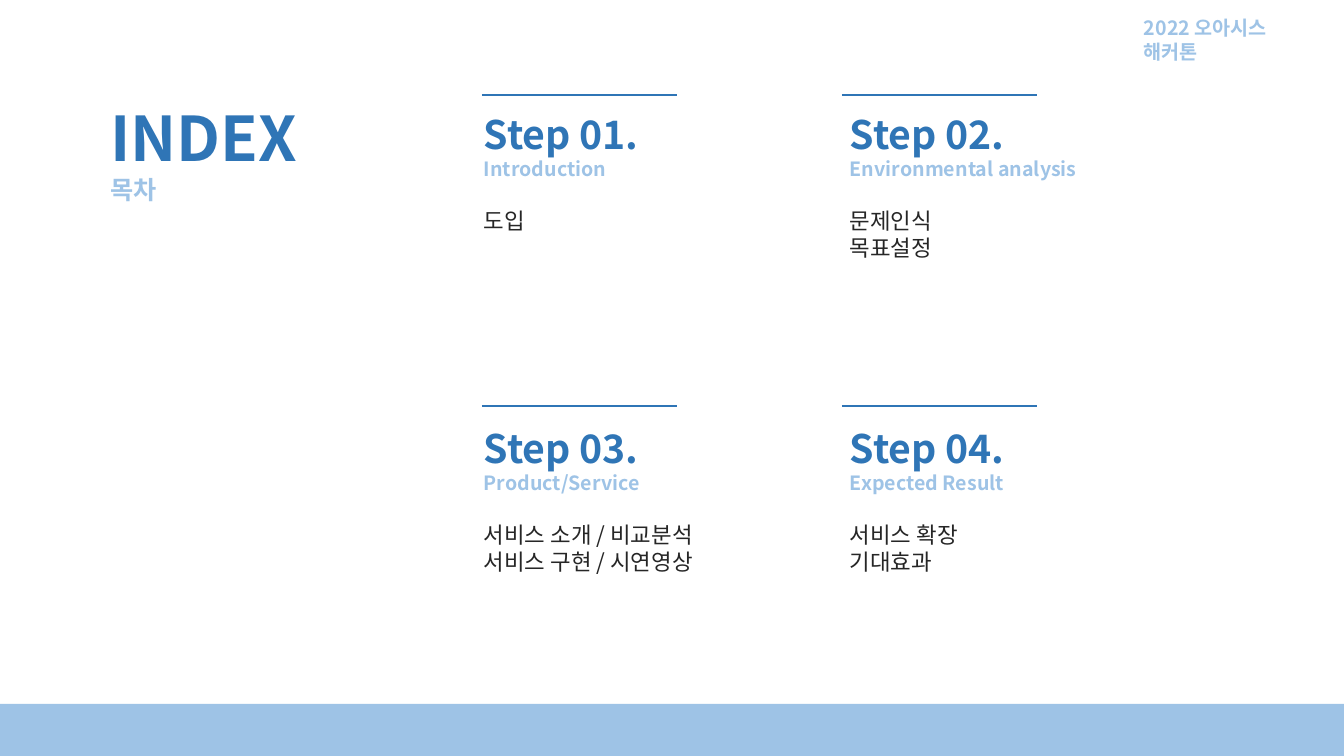
import pptx
import pptx.util
import pptx.dml.color
import pptx.enum.shapes
import pptx.enum.text
import pptx.oxml
import pptx.oxml.ns
from lxml import etree

PX = 12192000 / 1344
FONT = "Noto Sans CJK KR"
BLUE, PALE, DARK = "2F75B6", "9EC3E6", "262626"


def color(code):
    return pptx.dml.color.RGBColor.from_string(code)


def write(shape, box, rows):
    """Place a shape at box (px) and fill it with (text, size, colour, bold, gap) rows."""
    for side, val in zip(("left", "top", "width", "height"), box):
        setattr(shape, side, round(val * PX))
    frame = shape.text_frame
    look = {"word_wrap": True,
            "auto_size": pptx.enum.text.MSO_AUTO_SIZE.SHAPE_TO_FIT_TEXT,
            "vertical_anchor": pptx.enum.text.MSO_ANCHOR.TOP}
    for key, val in look.items():
        setattr(frame, key, val)
    for num, (text, size, code, bold, gap) in enumerate(rows):
        para = frame.add_paragraph() if num else frame.paragraphs[0]
        form = {"alignment": pptx.enum.text.PP_ALIGN.LEFT, "line_spacing": 1.0,
                "space_before": pptx.util.Pt(gap)}
        for key, val in form.items():
            setattr(para, key, val)
        run = para.add_run()
        run.text = text
        style = {"name": FONT, "size": pptx.util.Pt(size), "bold": bold}
        for key, val in style.items():
            setattr(run.font, key, val)
        run.font.color.rgb = color(code)
        east = etree.SubElement(run._r.get_or_add_rPr(), pptx.oxml.ns.qn("a:ea"))
        east.set("typeface", FONT)


deck = pptx.Presentation()
deck.slide_width, deck.slide_height = round(1344 * PX), round(756 * PX)
slide = deck.slides.add_slide(deck.slide_layouts[5])
shapes = slide.shapes

write(shapes.title, (100, 95, 253, 119),
      [("INDEX", 44, BLUE, True, 0), ("목차", 18, PALE, True, 0)])
write(shapes.add_textbox(0, 0, 0, 0), (1134, 11, 200, 34),
      [("2022 오아시스 해커톤", 14, PALE, True, 0)])

band = shapes.add_shape(pptx.enum.shapes.MSO_SHAPE.RECTANGLE, 0, round(704 * PX),
                        deck.slide_width, round(52 * PX))
band.shadow.inherit = False
band.fill.solid()
band.fill.fore_color.rgb = color(PALE)
band.line.fill.background()

steps = [
    ("Introduction", ["도입"]),
    ("Environmental analysis", ["문제인식", "목표설정"]),
    ("Product/Service", ["서비스 소개 / 비교분석", "서비스 구현 / 시연영상"]),
    ("Expected Result", ["서비스 확장", "기대효과"]),
]
cols = [(474, 482), (840, 842)]  # text left, rule left
lines = [(105, 95), (419, 406)]  # text top, rule top
for num, (name, items) in enumerate(steps):
    left, start = cols[num % 2]
    top, level = lines[num // 2]
    rows = [(f"Step {num + 1:02}.", 28, BLUE, True, 0), (name, 14, PALE, True, 0)]
    rows += [(item, 16, DARK, False, 0 if pos else 19) for pos, item in enumerate(items)]
    write(shapes.add_textbox(0, 0, 0, 0), (left, top, 320, 109 + 27 * len(items)), rows)

    rule = shapes.add_connector(pptx.enum.shapes.MSO_CONNECTOR.STRAIGHT,
                                round(start * PX), round(level * PX),
                                round((start + 195) * PX), round(level * PX))
    rule.line.color.rgb = color(BLUE)
    rule.line.width = pptx.util.Pt(1.5)
    etree.SubElement(rule._element.spPr, pptx.oxml.ns.qn("a:effectLst"))

deck.save("out.pptx")
